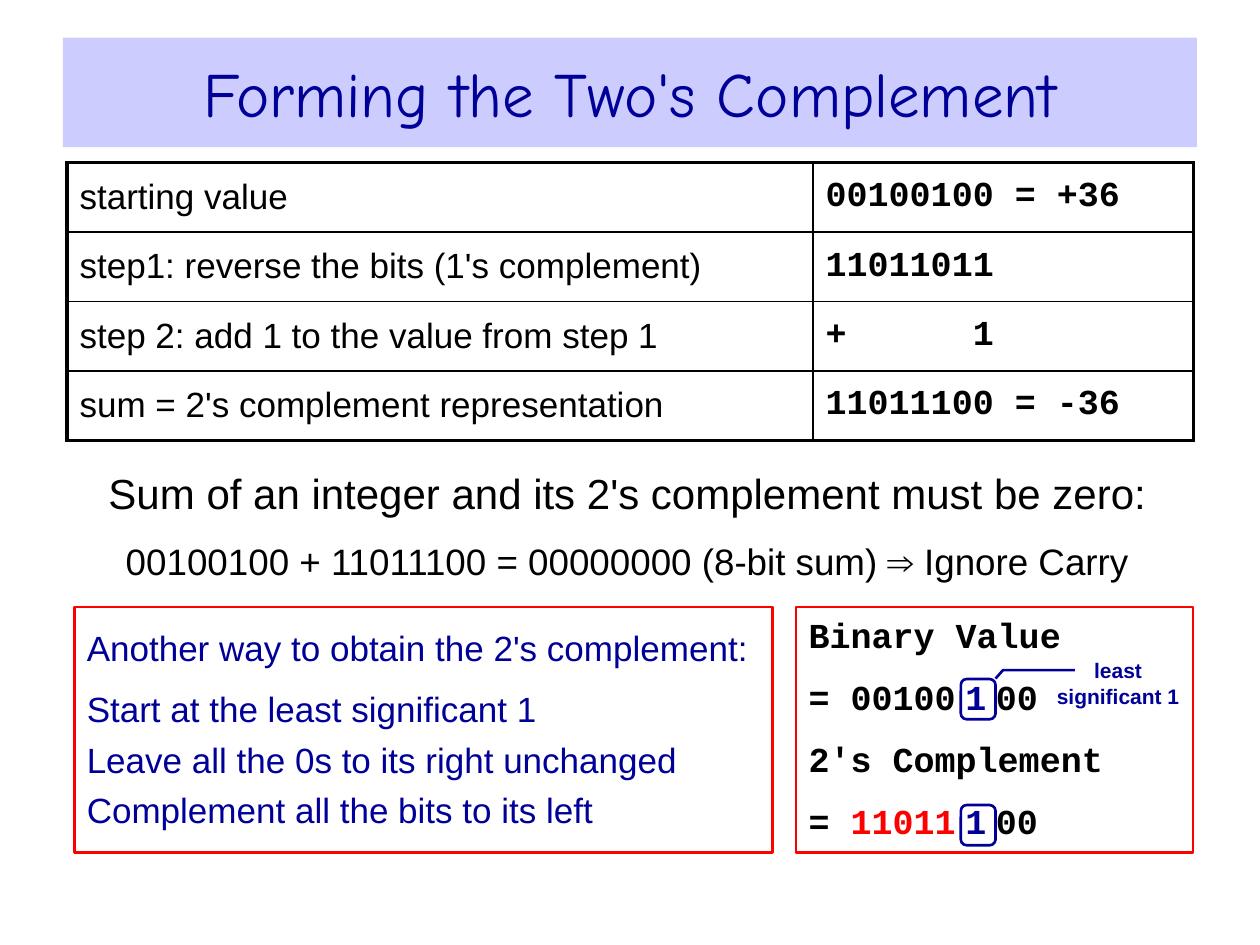
from lxml import etree
from pptx import Presentation
from pptx.dml.color import RGBColor
from pptx.enum import shapes, text
from pptx.oxml.ns import qn
from pptx.util import Cm, Pt

NAVY = RGBColor(0x00, 0x00, 0x99)
LAVENDER = RGBColor(0xCC, 0xCC, 0xFF)
RED = RGBColor(0xFF, 0x00, 0x00)
BLACK = RGBColor(0x00, 0x00, 0x00)
CENTER = text.PP_ALIGN.CENTER
LEFT = text.PP_ALIGN.LEFT


def add_box(parent, kind, left, top, width, height, line=None):
    """Add an unfilled, shadowless shape; position and size are in cm."""
    shape = parent.add_shape(kind, Cm(left), Cm(top), Cm(width), Cm(height))
    shape.shadow.inherit = False
    shape.fill.background()
    if line is None:
        shape.line.fill.background()
    else:
        shape.line.color.rgb = line
        shape.line.width = Pt(1.5)
    shape.text_frame.word_wrap = True
    return shape


def write(frame, lines, font, color, align=LEFT, bold=False):
    """Write lines of (runs, size, space before); a run is (text, color, size)."""
    for index, (runs, size, space) in enumerate(lines):
        paragraph = frame.paragraphs[0] if index == 0 else frame.add_paragraph()
        paragraph.alignment = align
        paragraph.space_before = Pt(space)
        paragraph.font.name = font
        paragraph.font.size = Pt(size)
        paragraph.font.bold = bold
        paragraph.font.color.rgb = color
        if isinstance(runs, str):
            runs = [(runs, None, None)]
        for words, run_color, run_size in runs:
            run = paragraph.add_run()
            run.text = words
            if run_color is not None:
                run.font.color.rgb = run_color
            if run_size is not None:
                run.font.size = Pt(run_size)


presentation = Presentation()
presentation.slide_width = Cm(25.4)
presentation.slide_height = Cm(19.05)
slide = presentation.slides.add_slide(presentation.slide_layouts[6])
RECTANGLE = shapes.MSO_SHAPE.RECTANGLE
ROUNDED = shapes.MSO_SHAPE.ROUNDED_RECTANGLE

# Title
title = add_box(slide.shapes, RECTANGLE, 1.27, 0.76, 22.86, 2.21)
title.fill.solid()
title.fill.fore_color.rgb = LAVENDER
title.text_frame.vertical_anchor = text.MSO_ANCHOR.MIDDLE
write(title.text_frame, [("Forming the Two's Complement", 36, 0)],
      "Comic Neue", NAVY, CENTER)

# Sum rule
sum_rule = slide.shapes.add_textbox(Cm(1.7), Cm(9.04), Cm(21.89), Cm(3.1))
sum_rule.text_frame.word_wrap = True
sum_rule.text_frame.margin_top = sum_rule.text_frame.margin_bottom = Cm(0.38)
write(sum_rule.text_frame, [
    ("Sum of an integer and its 2's complement must be zero:", 24, 0),
    ("00100100 + 11011100 = 00000000 (8-bit sum) ⇒ Ignore Carry", 21, 12),
], "Arial", BLACK, CENTER)

# Shortcut method
shortcut = add_box(slide.shapes, RECTANGLE, 1.5, 12.24, 14.07, 4.95, RED)
shortcut.text_frame.margin_top = shortcut.text_frame.margin_bottom = Cm(0.38)
shortcut.text_frame.vertical_anchor = text.MSO_ANCHOR.TOP
write(shortcut.text_frame, [
    ("Another way to obtain the 2's complement:", 20, 0),
    ("Start at the least significant 1", 20, 11),
    ("Leave all the 0s to its right unchanged", 20, 5),
    ("Complement all the bits to its left", 20, 5),
], "Arial", NAVY)

# Steps table
steps = [
    ("starting value", "00100100 = +36"),
    ("step1: reverse the bits (1's complement)", "11011011"),
    ("step 2: add 1 to the value from step 1", "+      1"),
    ("sum = 2's complement representation", "11011100 = -36"),
]
table = slide.shapes.add_table(4, 2, Cm(1.35), Cm(3.28), Cm(22.71), Cm(5.6)).table
table.first_row = table.horz_banding = False
table.columns[0].width = Cm(15.04)
table.columns[1].width = Cm(7.67)
for row, values in enumerate(steps):
    table.rows[row].height = Cm(1.4)
    for column, value in enumerate(values):
        cell = table.cell(row, column)
        cell.vertical_anchor = text.MSO_ANCHOR.MIDDLE
        write(cell.text_frame, [(value, 20, 0)],
              ("Arial", "Courier New")[column], BLACK, bold=column == 1)
        outer_edges = {"L": column == 0, "R": column == 1, "T": row == 0, "B": row == 3}
        properties = cell._tc.get_or_add_tcPr()
        for side, outer in outer_edges.items():
            border = etree.SubElement(properties, qn(f"a:ln{side}"),
                                      w=str(Pt(2.25 if outer else 1)))
            fill = etree.SubElement(border, qn("a:solidFill"))
            etree.SubElement(fill, qn("a:srgbClr"), val=str(BLACK))
        cell.fill.background()

# Worked example, with narrow gaps around the marked bit
gap = (" ", None, 9)
marked_bit = [gap, ("1", NAVY, None), gap, ("00", None, None)]
example = add_box(slide.shapes, RECTANGLE, 16.05, 12.24, 8, 4.95, RED)
example.text_frame.vertical_anchor = text.MSO_ANCHOR.TOP
write(example.text_frame, [
    ("Binary Value", 20, 0),
    ([("= 00100", None, None)] + marked_bit, 20, 11.5),
    ("2's Complement", 20, 11.5),
    ([("= ", None, None), ("11011", RED, None)] + marked_bit, 20, 11.5),
], "Courier New", BLACK, bold=True)

# Bit markers and callout
add_box(slide.shapes, ROUNDED, 19.37, 16.23, 0.7, 0.81, NAVY)
callout = slide.shapes.add_group_shape().shapes
add_box(callout, ROUNDED, 19.37, 13.69, 0.7, 0.81, NAVY)

label = callout.add_textbox(Cm(21.18), Cm(13.21), Cm(2.72), Cm(1.12))
frame = label.text_frame
frame.word_wrap = True
frame.margin_left = frame.margin_right = frame.margin_top = frame.margin_bottom = 0
frame.vertical_anchor = text.MSO_ANCHOR.MIDDLE
write(frame, [("least", 12, 0), ("significant 1", 12, 0)], "Arial", NAVY, CENTER, True)

builder = callout.build_freeform(Cm(21.67), Cm(13.51))
builder.add_line_segments([(Cm(20.22), Cm(13.51)), (Cm(20.07), Cm(13.68))], close=False)
leader = builder.convert_to_shape()
leader.shadow.inherit = False
leader.fill.background()
leader.line.color.rgb = NAVY
leader.line.width = Pt(1.5)

presentation.save("out.pptx")
